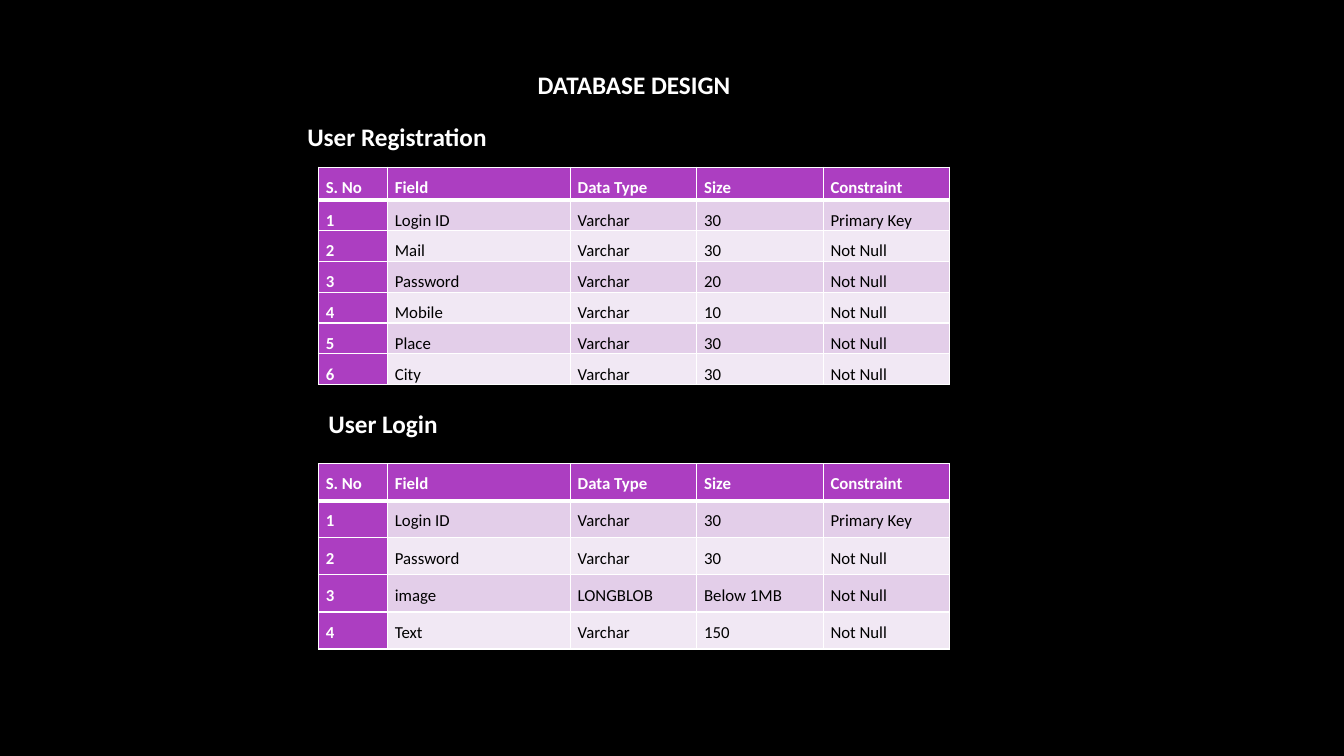
from lxml.etree import SubElement
from pptx import Presentation
from pptx.dml.color import RGBColor
from pptx.enum.text import MSO_ANCHOR as Anchor, MSO_AUTO_SIZE as Fit, PP_ALIGN as Align
from pptx.oxml.ns import qn
from pptx.util import Pt

BLACK = RGBColor(0x00, 0x00, 0x00)
WHITE = RGBColor(0xFF, 0xFF, 0xFF)
PURPLE = RGBColor(0xAC, 0x3E, 0xC1)
BANDS = [RGBColor(0xE3, 0xCE, 0xE9), RGBColor(0xF1, 0xE8, 0xF4)]

TITLE = "DATABASE DESIGN"
HEADER = ("S. No", "Field", "Data Type", "Size", "Constraint")
USERS = [
    ("Login ID", "Varchar", "30", "Primary Key"),
    ("Mail", "Varchar", "30", "Not Null"),
    ("Password", "Varchar", "20", "Not Null"),
    ("Mobile", "Varchar", "10", "Not Null"),
    ("Place", "Varchar", "30", "Not Null"),
    ("City", "Varchar", "30", "Not Null"),
]
LOGINS = [
    ("Login ID", "Varchar", "30", "Primary Key"),
    ("Password", "Varchar", "30", "Not Null"),
    ("image", "LONGBLOB", "Below 1MB", "Not Null"),
    ("Text", "Varchar", "150", "Not Null"),
]
# Caption, its box and format, fields, table top, header and row heights
SECTIONS = [
    ("User Registration", (212.4, 82.8, 639.4, 29), dict(anchor=Anchor.MIDDLE),
     USERS, 119.5, 23.3, 22),
    ("User Login", (227.5, 277.2, 461.5, 36.7), dict(spacing=1.5, after=10),
     LOGINS, 331.2, 26.5, 26.5),
]
LEFT = 227.5
WIDTHS = [49.4, 130.6, 90.3, 90.3, 90.3]


def write(frame, text, size=18, color=WHITE, bold=True, align=Align.LEFT,
          anchor=Anchor.TOP, spacing=None, after=0):
    frame.word_wrap = True
    frame.vertical_anchor = anchor
    para = frame.paragraphs[0]
    para.alignment = align
    para.line_spacing = spacing
    para.space_after = Pt(after)
    run = para.add_run()
    run.text = text
    font = run.font
    font.name, font.size, font.bold = "Calibri", Pt(size), bold
    font.color.rgb = color


def border(cell, **edges):
    """Draw white cell edges, given as L, R, T and B widths in points."""
    props = cell._tc.get_or_add_tcPr()
    for side, width in edges.items():
        line = SubElement(props, qn(f"a:ln{side}"), w=str(Pt(width)))
        fill = SubElement(line, qn("a:solidFill"))
        SubElement(fill, qn("a:srgbClr"), val=str(WHITE))


def grid(slide, fields, top, head, high):
    rows = [HEADER] + [(str(n), *field) for n, field in enumerate(fields, 1)]
    tall = head + high * len(fields)
    table = slide.shapes.add_table(len(rows), len(HEADER), Pt(LEFT), Pt(top),
                                   Pt(sum(WIDTHS)), Pt(tall)).table
    for col, width in zip(table.columns, WIDTHS):
        col.width = Pt(width)
    for r, row in enumerate(rows):
        table.rows[r].height = Pt(high if r else head)
        for c, text in enumerate(row):
            cell = table.cell(r, c)
            strong = r == 0 or c == 0
            cell.margin_left = cell.margin_right = Pt(5.2)
            cell.margin_top = cell.margin_bottom = 0
            border(cell, L=1, R=1, T=3 if r == 1 else 1, B=1 if r else 3)
            cell.fill.solid()
            cell.fill.fore_color.rgb = PURPLE if strong else BANDS[(r - 1) % 2]
            write(cell.text_frame, text, size=12, bold=strong,
                  color=WHITE if strong else BLACK, spacing=1.5, after=10)


def place(shape, left, top, width, height):
    shape.left, shape.top = Pt(left), Pt(top)
    shape.width, shape.height = Pt(width), Pt(height)


def main():
    deck = Presentation()
    deck.slide_width, deck.slide_height = Pt(960), Pt(540)
    slide = deck.slides.add_slide(deck.slide_layouts[5])
    back = slide.background.fill
    back.solid()
    back.fore_color.rgb = BLACK

    title = slide.shapes.title
    place(title, 54, 48.2, 797.8, 64)
    title.text_frame.auto_size = Fit.NONE
    write(title.text_frame, TITLE, align=Align.CENTER, spacing=0.9)

    for caption, box, style, fields, top, head, high in SECTIONS:
        label = slide.shapes.add_textbox(*map(Pt, box))
        write(label.text_frame, caption, **style)
        label.text_frame.auto_size = Fit.SHAPE_TO_FIT_TEXT
        grid(slide, fields, top, head, high)
    deck.save("out.pptx")


if __name__ == "__main__":
    main()
